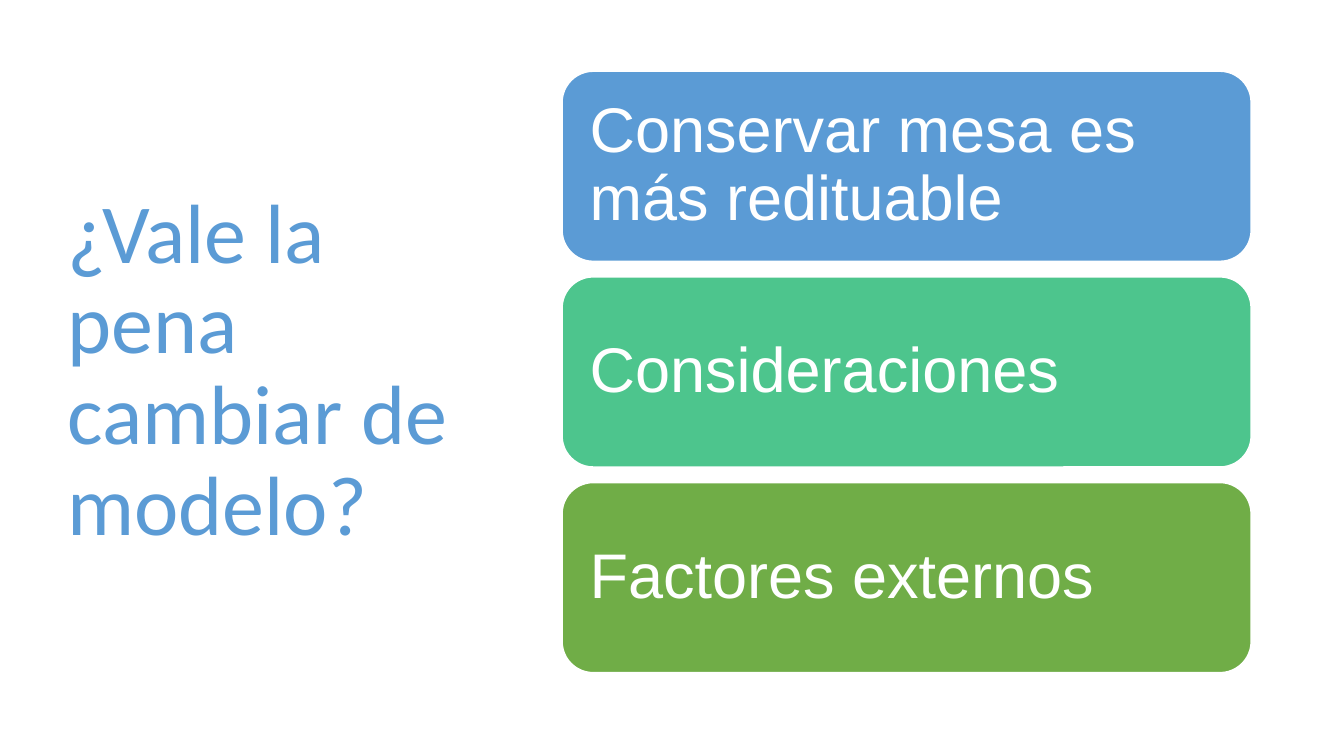
from pptx import Presentation
from pptx.dml.color import RGBColor
from pptx.enum import shapes, text
from pptx.util import Pt

HUES = {"blue": "5B9BD5", "teal": "4DC58D", "green": "70AD47", "white": "FFFFFF"}
CARDS = [
    ("Conservar mesa es más redituable", "blue"),
    ("Consideraciones", "teal"),
    ("Factores externos", "green"),
]
TOP, STEP = 50.4, 146.9


def write(frame, words, font, size, hue):
    frame.text = words
    frame.word_wrap = True
    frame.auto_size = text.MSO_AUTO_SIZE.NONE
    frame.vertical_anchor = text.MSO_ANCHOR.MIDDLE
    line = frame.paragraphs[0]
    line.alignment = text.PP_ALIGN.LEFT
    line.line_spacing = 0.9
    run = line.runs[0]
    run.font.name = font
    run.font.size = Pt(size)
    run.font.color.rgb = RGBColor.from_string(HUES[hue])


deck = Presentation()
deck.slide_width, deck.slide_height = Pt(960), Pt(540)
slide = deck.slides.add_slide(deck.slide_layouts[5])

title = slide.shapes.title
title.left, title.top = Pt(41), Pt(49)
title.width, title.height = Pt(299.5), Pt(433.4)
write(title.text_frame, "¿Vale la pena cambiar de modelo?", "Calibri", 60, "blue")

for row, (words, hue) in enumerate(CARDS):
    card = slide.shapes.add_shape(
        shapes.MSO_SHAPE.ROUNDED_RECTANGLE,
        Pt(401), Pt(TOP + row * STEP), Pt(493.2), Pt(136.8))
    card.shadow.inherit = False
    card.fill.solid()
    card.fill.fore_color.rgb = RGBColor.from_string(HUES[hue])
    card.line.color.rgb = RGBColor.from_string(HUES["white"])
    card.line.width = Pt(2)
    frame = card.text_frame
    frame.margin_left = frame.margin_right = Pt(13.5)
    frame.margin_top = frame.margin_bottom = Pt(13.5)
    write(frame, words, "Arial", 45, "white")

deck.save("out.pptx")
